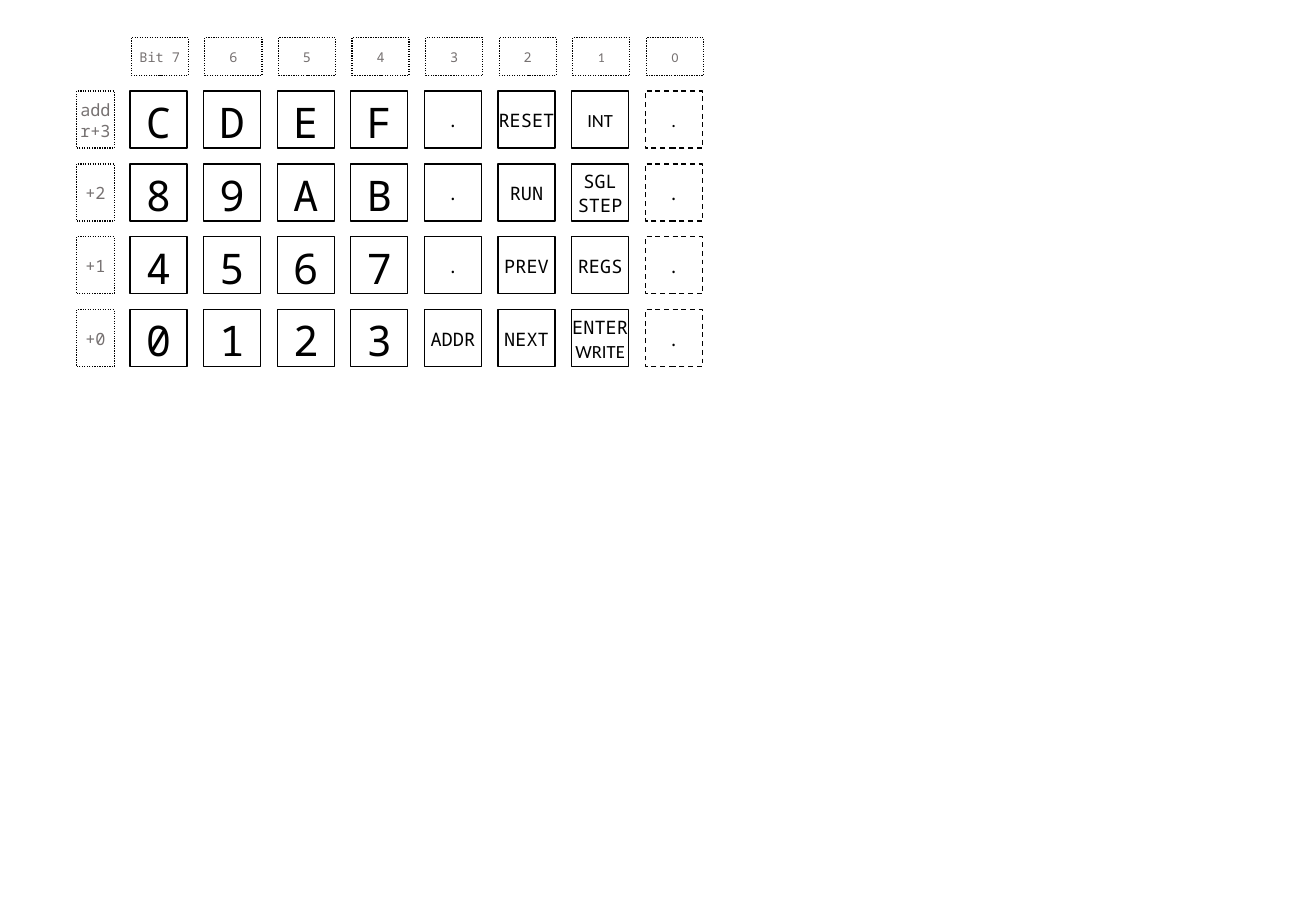
from pptx import Presentation
from pptx.dml.color import RGBColor
from pptx.enum.dml import MSO_LINE_DASH_STYLE as Dash
from pptx.enum.shapes import MSO_SHAPE as Shape
from pptx.enum.text import MSO_ANCHOR as Anchor, PP_ALIGN as Align
from pptx.util import Inches, Pt

BLACK = RGBColor(0x00, 0x00, 0x00)
GREY = RGBColor(0x76, 0x71, 0x71)
MONO, SANS = "Noto Sans Mono", "Calibri"

KEY_SIZE, LABEL_SIZE = 0.47, 0.31
KEYS_LEFT, KEYS_TOP = 1.07, 0.75
BITS_LEFT, BITS_TOP = 1.08, 0.31
ADDRESS_LEFT = 0.63
LAST_KEY_LEFT = 5.31
ROW_PITCH = 0.6

# A label is a string in the mono font, or a list of (text, font) runs.
BITS = ["Bit 7", "6", "5", "4", "3", "2", [("1", SANS)], [("0", SANS)]]
ADDRESSES = ["addr+3", "+2", "+1", "+0"]
KEYS = [
    ["C", "D", "E", "F", ".", "RESET", [("INT", SANS)], [(".", SANS)]],
    ["8", "9", "A", "B", ".", "RUN", "SGL STEP", "."],
    ["4", "5", "6", "7", ".", "PREV", "REGS", "."],
    ["0", "1", "2", "3", "ADDR", "NEXT",
     [("ENTER", MONO), (" WRITE", SANS)], "."],
]
HEX_COLUMNS = 4
LAST_COLUMN = len(BITS) - 1
COLUMN_PITCH = (LAST_KEY_LEFT - KEYS_LEFT) / LAST_COLUMN

FRAME_FORMAT = {
    "margin_left": 0, "margin_top": 0, "margin_right": 0, "margin_bottom": 0,
    "vertical_anchor": Anchor.MIDDLE, "word_wrap": True,
}
PARAGRAPH_FORMAT = {
    "alignment": Align.CENTER, "line_spacing": 1.07, "space_after": Pt(6.5),
}


def apply_format(target, values):
    for name, value in values.items():
        setattr(target, name, value)


class KeypadSlide:
    def __init__(self, slide):
        self.slide = slide

    def box(self, label, left, top, width, height, size, color, dash=None):
        outline = self.slide.shapes.add_shape(
            Shape.RECTANGLE, *map(Inches, (left, top, width, height)))
        outline.shadow.inherit = False
        outline.fill.background()
        outline.line.color.rgb = BLACK
        apply_format(outline.line, {"width": Pt(0.75), "dash_style": dash})
        frame = outline.text_frame
        apply_format(frame, FRAME_FORMAT)
        paragraph = frame.paragraphs[0]
        apply_format(paragraph, PARAGRAPH_FORMAT)
        for text, font in [(label, MONO)] if isinstance(label, str) else label:
            run = paragraph.add_run()
            run.text = text
            apply_format(run.font, {"name": font, "size": Pt(size)})
            run.font.color.rgb = color

    def key(self, label, row, column):
        self.box(label, KEYS_LEFT + column * COLUMN_PITCH,
                 KEYS_TOP + row * ROW_PITCH, KEY_SIZE, KEY_SIZE,
                 25 if column < HEX_COLUMNS else 11, BLACK,
                 Dash.DASH if column == LAST_COLUMN else None)

    def bit(self, label, column):
        self.box(label, BITS_LEFT + column * COLUMN_PITCH, BITS_TOP,
                 KEY_SIZE, LABEL_SIZE, 8, GREY, Dash.ROUND_DOT)

    def address(self, label, row):
        self.box(label, ADDRESS_LEFT, KEYS_TOP + row * ROW_PITCH,
                 LABEL_SIZE, KEY_SIZE, 10, GREY, Dash.ROUND_DOT)


def main():
    deck = Presentation()
    deck.slide_width, deck.slide_height = Inches(10.83), Inches(7.5)
    keypad = KeypadSlide(deck.slides.add_slide(deck.slide_layouts[6]))
    for row, labels in enumerate(KEYS):
        for column, label in enumerate(labels):
            keypad.key(label, row, column)
    for column, label in enumerate(BITS):
        keypad.bit(label, column)
    for row, label in enumerate(ADDRESSES):
        keypad.address(label, row)
    deck.save("out.pptx")


if __name__ == "__main__":
    main()
